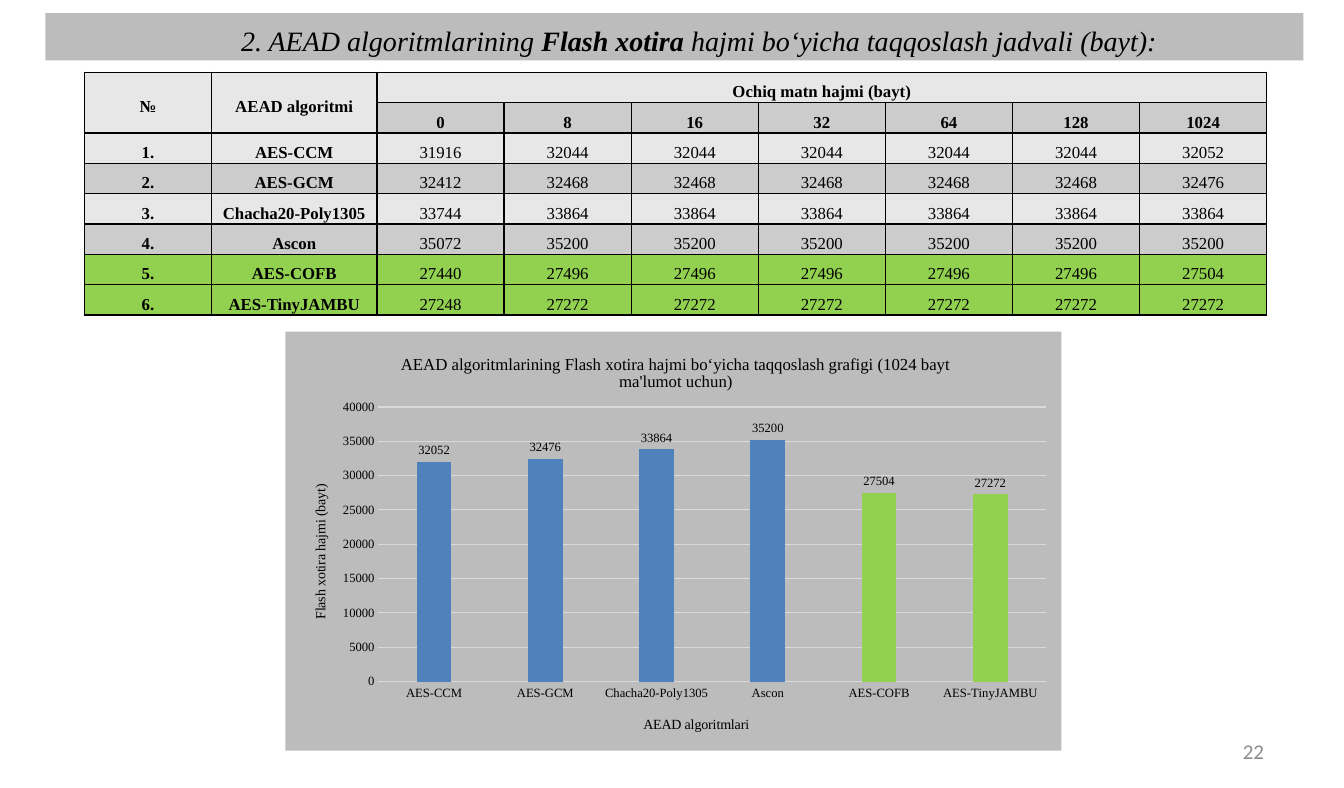
from lxml import etree
from pptx import Presentation
from pptx.chart.data import CategoryChartData
from pptx.dml.color import RGBColor
from pptx.enum.chart import XL_CHART_TYPE as ChartType, XL_LABEL_POSITION as LabelPosition
from pptx.enum.chart import XL_TICK_MARK as TickMark
from pptx.enum.text import MSO_ANCHOR as Anchor, MSO_AUTO_SIZE as AutoSize, PP_ALIGN as Align
from pptx.oxml import parse_xml
from pptx.oxml.ns import nsdecls, qn
from pptx.util import Pt

# Content
TITLE = [("2. AEAD algoritmlarining ", False), ("Flash xotira ", True),
         ("hajmi bo‘yicha taqqoslash jadvali (bayt):", False)]
PAGE_NUMBER = "22"
HEADINGS = ["№", "AEAD algoritmi", "Ochiq matn hajmi (bayt)"]
SIZES = ["0", "8", "16", "32", "64", "128", "1024"]
# Algorithm: flash use for 0 bytes, for 8 to 128 bytes, for 1024 bytes
FLASH_USE = {
    "AES-CCM": (31916, 32044, 32052),
    "AES-GCM": (32412, 32468, 32476),
    "Chacha20-Poly1305": (33744, 33864, 33864),
    "Ascon": (35072, 35200, 35200),
    "AES-COFB": (27440, 27496, 27504),
    "AES-TinyJAMBU": (27248, 27272, 27272),
}
SMALLEST = ("AES-COFB", "AES-TinyJAMBU")
CHART_TITLE = "AEAD algoritmlarining Flash xotira hajmi bo‘yicha taqqoslash grafigi (1024 bayt ma'lumot uchun)"
CATEGORY_TITLE = "AEAD algoritmlari"
VALUE_TITLE = "Flash xotira hajmi (bayt)"

# Style
SERIF = "Times New Roman"
BLACK, PANEL, GRID, BLUE, GREEN = "000000", "A6A6A6", "D9D9D9", "4F81BD", "92D050"
BANDS = ["E7E7E7", "CCCCCC"]
PANEL_OPACITY = 75000


def color(value):
    return RGBColor.from_string(value)


def set_font(font, size, fill=BLACK, name=SERIF, bold=False, italic=False):
    font.size, font.name, font.bold, font.italic = Pt(size), name, bold, italic
    font.color.rgb = color(fill)


def write(frame, text, align=None, spacing=None, after=None, **style):
    """Add a run of text to the first paragraph of a frame."""
    paragraph = frame.paragraphs[0]
    if align is not None:
        paragraph.alignment = align
    if spacing is not None:
        paragraph.line_spacing = spacing
    if after is not None:
        paragraph.space_after = Pt(after)
    run = paragraph.add_run()
    run.text = text
    set_font(run.font, **style)
    return paragraph


def place(shape, left, top, width, height):
    shape.left, shape.top, shape.width, shape.height = map(Pt, (left, top, width, height))


def add_borders(cell):
    properties = cell._tc.get_or_add_tcPr()
    for index, side in enumerate(("lnL", "lnR", "lnT", "lnB")):
        properties.insert(index, parse_xml(
            f'<a:{side} {nsdecls("a")} w="{Pt(1)}"><a:solidFill><a:srgbClr val="{BLACK}"/>'
            f'</a:solidFill></a:{side}>'))


def set_layout(element, index, x, y, width=None, height=None):
    """Fix a chart part at fractions of the chart area."""
    for old in element.findall(qn("c:layout")):
        element.remove(old)
    parts = [("xMode", "edge"), ("yMode", "edge"), ("x", x), ("y", y)]
    if width is not None:
        parts = [("layoutTarget", "inner")] + parts + [("w", width), ("h", height)]
    layout = etree.Element(qn("c:layout"))
    manual = etree.SubElement(layout, qn("c:manualLayout"))
    for name, value in parts:
        etree.SubElement(manual, qn(f"c:{name}")).set("val", str(value))
    element.insert(index, layout)


def add_chart_title(owner, text, size, x, y):
    owner.has_title = True
    title = owner.title if hasattr(owner, "title") else owner.chart_title \
        if hasattr(owner, "chart_title") else owner.axis_title
    write(title.text_frame, text, size=size)
    set_layout(title._element, 1, x, y)


presentation = Presentation()
presentation.slide_width, presentation.slide_height = Pt(960), Pt(563)
slide = presentation.slides.add_slide(presentation.slide_layouts[5])

# Page number
page_box = slide.shapes.add_textbox(Pt(687.6), Pt(521.3), Pt(223.9), Pt(30.2))
page_frame = page_box.text_frame
page_frame.word_wrap = True
page_frame.vertical_anchor = Anchor.MIDDLE
page_frame.margin_left = page_frame.margin_right = Pt(8.6)
write(page_frame, PAGE_NUMBER, align=Align.RIGHT, size=15, fill="8C8C8C", name="Calibri")

# Title band
title = slide.shapes.title
place(title, 32.4, 9.4, 898.6, 33.8)
title.fill.solid()
title.fill.fore_color.rgb = color(PANEL)
band_color = title._element.spPr.find(".//" + qn("a:srgbClr"))
etree.SubElement(band_color, qn("a:alpha")).set("val", str(PANEL_OPACITY))
title.text_frame.auto_size = AutoSize.NONE
title.text_frame.vertical_anchor = Anchor.MIDDLE
for text, bold in TITLE:
    paragraph = write(title.text_frame, text, align=Align.CENTER, spacing=1.2,
                      size=20, bold=bold, italic=True)
paragraph._p.get_or_add_pPr().set("indent", str(Pt(35.3)))

# Table: two heading rows, then one row for each algorithm
rows = [HEADINGS + [""] * (len(SIZES) - 1), ["", ""] + SIZES]
for number, (name, (empty, middle, full)) in enumerate(FLASH_USE.items(), 1):
    rows.append([f"{number}.", name, empty] + [middle] * (len(SIZES) - 2) + [full])

ROW_HEIGHT, COLUMN, NAME_COLUMN = 21.7, 90.8, 118.2
table_width = COLUMN * (len(SIZES) + 1) + NAME_COLUMN
table = slide.shapes.add_table(len(rows), len(rows[0]), Pt(60.3), Pt(51.6), Pt(table_width),
                               Pt(ROW_HEIGHT * len(rows))).table
table.first_row = table.horz_banding = False
for index, column in enumerate(table.columns):
    column.width = Pt(NAME_COLUMN if index == 1 else COLUMN)
for row_index, values in enumerate(rows):
    table.rows[row_index].height = Pt(ROW_HEIGHT)
    for column_index, value in enumerate(values):
        cell = table.cell(row_index, column_index)
        cell.margin_left = cell.margin_right = Pt(5)
        cell.margin_top = cell.margin_bottom = Pt(0)
        cell.vertical_anchor = Anchor.MIDDLE
        cell.fill.solid()
        cell.fill.fore_color.rgb = color(GREEN if values[1] in SMALLEST else BANDS[row_index % 2])
        add_borders(cell)
        if value != "":
            write(cell.text_frame, str(value), align=Align.CENTER, spacing=1.5,
                  after=0 if row_index > 1 and column_index == 0 else 10,
                  size=12, bold=row_index < 2 or column_index < 2)
for column_index in (0, 1):
    table.cell(0, column_index).merge(table.cell(1, column_index))
table.cell(0, 2).merge(table.cell(0, len(rows[0]) - 1))

# Chart of the 1024-byte column
data = CategoryChartData()
data.categories = list(FLASH_USE)
data.add_series("Series 1", [values[-1] for values in FLASH_USE.values()])
chart = slide.shapes.add_chart(ChartType.COLUMN_CLUSTERED, Pt(203.8), Pt(236.9), Pt(554.4),
                               Pt(299.5), data).chart
set_font(chart.font, 10, name="Calibri")
chart.has_legend = False
chart_space = chart._chartSpace
chart_space.find(qn("c:chart")).addnext(parse_xml(
    f'<c:spPr {nsdecls("c", "a")}><a:solidFill><a:srgbClr val="{PANEL}">'
    f'<a:alpha val="{PANEL_OPACITY}"/></a:srgbClr></a:solidFill><a:ln><a:noFill/></a:ln></c:spPr>'))
set_layout(chart_space.find(".//" + qn("c:plotArea")), 0, 0.12, 0.18, 0.86, 0.655)

category_axis, value_axis = chart.category_axis, chart.value_axis
add_chart_title(chart, CHART_TITLE, 12, 0.145, 0.045)
add_chart_title(category_axis, CATEGORY_TITLE, 10, 0.458, 0.91)
add_chart_title(value_axis, VALUE_TITLE, 10, 0.03, 0.358)
for axis in (category_axis, value_axis):
    axis.major_tick_mark = axis.minor_tick_mark = TickMark.NONE
    set_font(axis.tick_labels.font, 9)
value_axis.minimum_scale, value_axis.maximum_scale, value_axis.major_unit = 0, 40000, 5000
value_axis.format.line.fill.background()
for line in (category_axis.format.line, value_axis.major_gridlines.format.line):
    line.color.rgb = color(GRID)
    line.width = Pt(0.75)

# Columns and their labels
plot = chart.plots[0]
plot.gap_width, plot.overlap, plot.vary_by_categories = 219, -27, False
series = plot.series[0]
series.format.fill.solid()
series.format.fill.fore_color.rgb = color(BLUE)
for index, name in enumerate(FLASH_USE):
    if name in SMALLEST:
        point_fill = series.points[index].format.fill
        point_fill.solid()
        point_fill.fore_color.rgb = color(GREEN)
labels = series.data_labels
labels.show_value = True
labels.position = LabelPosition.OUTSIDE_END
set_font(labels.font, 9)

presentation.save("out.pptx")
